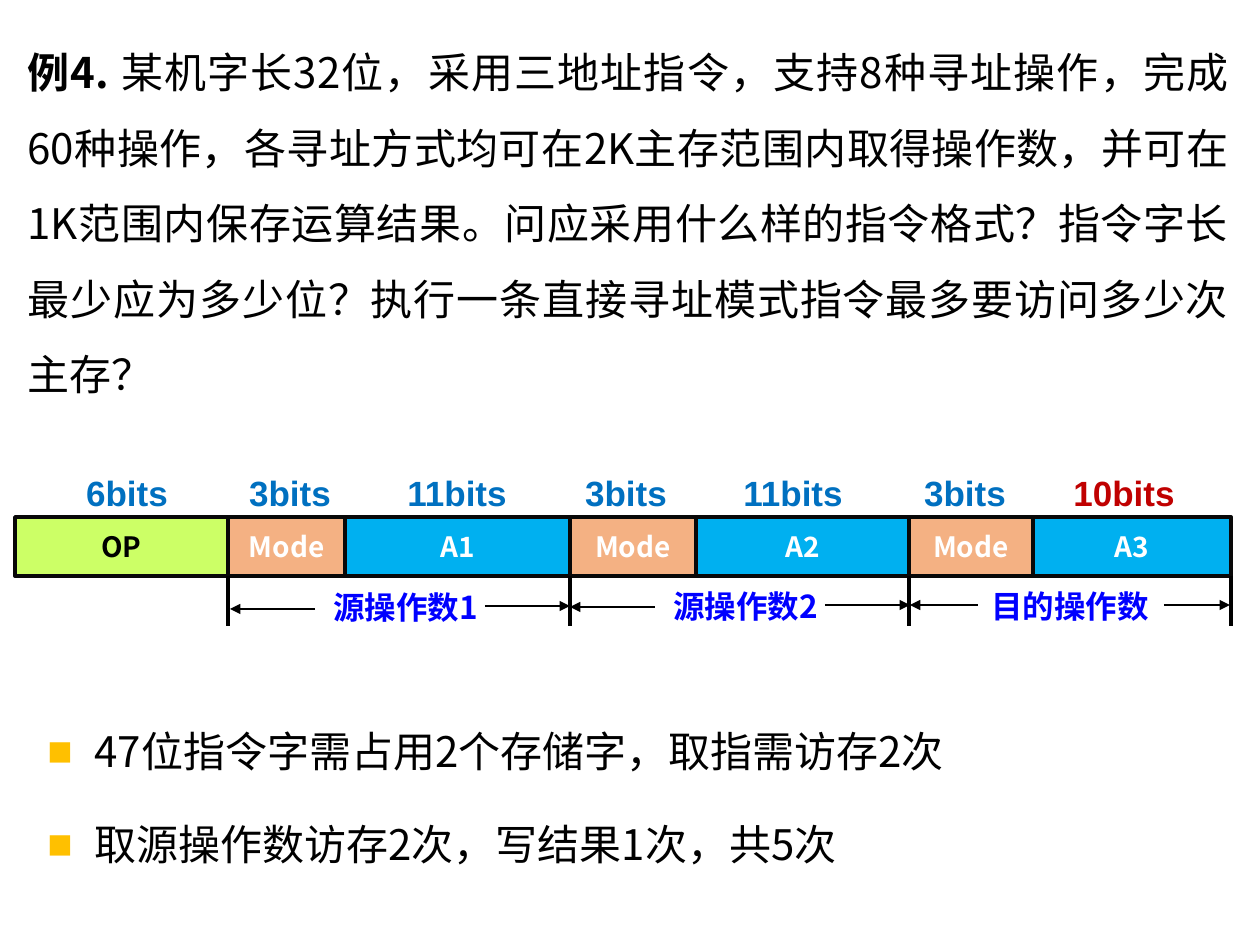
from dataclasses import dataclass
from itertools import pairwise

import pptx
import pptx.dml.color
import pptx.enum.shapes
import pptx.enum.text
import pptx.oxml.ns
import pptx.util
from lxml import etree

SCALE = 914400 / 126
ALIGN = pptx.enum.text.PP_ALIGN
ANCHOR = pptx.enum.text.MSO_ANCHOR


@dataclass(frozen=True)
class Theme:
    sans: str = "Noto Sans CJK SC"
    latin: str = "Arial"
    black: str = "000000"
    white: str = "FFFFFF"
    edge: str = "080808"
    lime: str = "CCFF66"
    peach: str = "F4B183"
    sky: str = "00B0F0"
    blue: str = "0070C0"
    red: str = "C00000"
    navy: str = "0000FF"
    gold: str = "FFC000"
    body: int = 24
    bits: int = 20
    label: int = 18
    cell: int = 16


@dataclass(frozen=True)
class Field:
    name: str
    fill: str
    bits: str
    mid: int  # centre of the bit count
    ink: str = Theme.white
    tint: str = Theme.blue


@dataclass(frozen=True)
class Group:
    """An operand: its label box and its two arrows as start, end, y."""
    name: str
    box: tuple[int, int, int]
    align: ALIGN
    left: tuple[int, int, int]
    right: tuple[int, int, int]


T = Theme()
TOP, TALL = 517, 59
EDGES = [15, 228, 345, 570, 696, 909, 1033, 1231]
FIELDS = [
    Field("OP", T.lime, "6bits", 127, ink=T.black),
    Field("Mode", T.peach, "3bits", 290),
    Field("A1", T.sky, "11bits", 457),
    Field("Mode", T.peach, "3bits", 626),
    Field("A2", T.sky, "11bits", 793),
    Field("Mode", T.peach, "3bits", 965),
    Field("A3", T.sky, "10bits", 1124, tint=T.red),
]
GROUPS = [
    Group("源操作数1", (287, 582, 203), ALIGN.RIGHT, (315, 230, 609), (485, 570, 606)),
    Group("源操作数2", (627, 581, 203), ALIGN.RIGHT, (655, 570, 607), (825, 910, 605)),
    Group("目的操作数", (949, 581, 242), ALIGN.CENTER, (978, 910, 605), (1164, 1230, 605)),
]
LEAD = "例4. "
TASK = ("某机字长32位，采用三地址指令，支持8种寻址操作，完成60种操作，"
        "各寻址方式均可在2K主存范围内取得操作数，并可在1K范围内保存运算结果。"
        "问应采用什么样的指令格式？指令字长最少应为多少位？"
        "执行一条直接寻址模式指令最多要访问多少次主存？")
NOTES = ["47位指令字需占用2个存储字，取指需访存2次",
         "取源操作数访存2次，写结果1次，共5次"]


def px(num: float) -> int:
    return round(num * SCALE)


def rgb(code: str) -> pptx.dml.color.RGBColor:
    return pptx.dml.color.RGBColor.from_string(code)


def add(node, tag: str, **attrs: str):
    return etree.SubElement(node, pptx.oxml.ns.qn(tag), attrs)


def style(para, size: int, ink: str, face: str = T.sans, bold: bool = False,
          align: ALIGN = ALIGN.CENTER) -> None:
    para.alignment = align
    font = para.font
    font.size = pptx.util.Pt(size)
    font.bold = bold
    font.color.rgb = rgb(ink)
    font.name = face
    add(font._element, "a:ea", typeface=face)


def bullet(para, indent: int, mark: str = "") -> None:
    """Set a hanging indent with a gold mark, or no bullet at all."""
    props = para._p.get_or_add_pPr()
    props.set("marL", str(px(indent)))
    props.set("indent", str(-px(indent)))
    if mark:
        add(add(props, "a:buClr"), "a:srgbClr", val=T.gold)
        add(props, "a:buFont", typeface=T.latin)
        add(props, "a:buChar", char=mark)
    else:
        add(props, "a:buNone")


def label(slide, box: tuple[int, int, int, int], text: str):
    shape = slide.shapes.add_textbox(*map(px, box))
    frame = shape.text_frame
    frame.word_wrap = True
    frame.text = text
    return frame


def line(slide, start: tuple[int, int], end: tuple[int, int],
         width: float = 2, arrow: bool = False) -> None:
    link = slide.shapes.add_connector(
        pptx.enum.shapes.MSO_CONNECTOR.STRAIGHT, *map(px, start + end))
    link.line.color.rgb = rgb(T.black)
    link.line.width = pptx.util.Pt(width)
    if arrow:
        add(link.line._get_or_add_ln(), "a:tailEnd", type="triangle")
    add(link._element.spPr, "a:effectLst")


def draw_task(slide) -> None:
    slide.shapes.title.element.getparent().remove(slide.shapes.title.element)
    body = slide.placeholders[1]
    body.left, body.top, body.width, body.height = map(px, (15, 15, 1226, 392))
    frame = body.text_frame
    frame.auto_size = pptx.enum.text.MSO_AUTO_SIZE.NONE
    frame.vertical_anchor = ANCHOR.TOP
    para = frame.paragraphs[0]
    for text, bold in ((LEAD, True), (TASK, False)):
        run = para.add_run()
        run.text = text
        run.font.bold = bold
    para.line_spacing = 1.5
    para.space_before = pptx.util.Pt(0)
    bullet(para, 0)
    style(para, T.body, T.black, align=ALIGN.JUSTIFY)


def draw_field(slide, field: Field, left: int, right: int) -> None:
    cell = slide.shapes.add_shape(
        pptx.enum.shapes.MSO_SHAPE.RECTANGLE, *map(px, (left, TOP, right - left, TALL)))
    cell.shadow.inherit = False
    cell.fill.solid()
    cell.fill.fore_color.rgb = rgb(field.fill)
    cell.line.color.rgb = rgb(T.edge)
    cell.line.width = pptx.util.Pt(2)
    frame = cell.text_frame
    frame.vertical_anchor = ANCHOR.MIDDLE
    frame.text = field.name
    style(frame.paragraphs[0], T.cell, field.ink, bold=True)
    bits = label(slide, (field.mid - 79, 465, 158, 55), field.bits)
    style(bits.paragraphs[0], T.bits, field.tint, T.latin, True)


def draw_group(slide, group: Group) -> None:
    frame = label(slide, (*group.box, 50), group.name)
    style(frame.paragraphs[0], T.label, T.navy, bold=True, align=group.align)
    for start, end, level in (group.left, group.right):
        line(slide, (start, level), (end, level), 1.5, True)


def draw_notes(slide) -> None:
    frame = label(slide, (35, 694, 1530, 178), "\n".join(NOTES))
    for spot, para in enumerate(frame.paragraphs):
        para.line_spacing = 1.5
        para.space_before = pptx.util.Pt(10 if spot else 0)
        bullet(para, 47, "■")
        style(para, T.body, T.black, align=ALIGN.JUSTIFY)


def main() -> None:
    deck = pptx.Presentation()
    deck.slide_width, deck.slide_height = px(1260), px(945)
    slide = deck.slides.add_slide(deck.slide_layouts[1])
    draw_task(slide)
    for field, (left, right) in zip(FIELDS, pairwise(EDGES)):
        draw_field(slide, field, left, right)
    for edge in EDGES[1::2]:
        line(slide, (edge, TOP + TALL), (edge, 626))
    for group in GROUPS:
        draw_group(slide, group)
    draw_notes(slide)
    deck.save("out.pptx")


if __name__ == "__main__":
    main()
